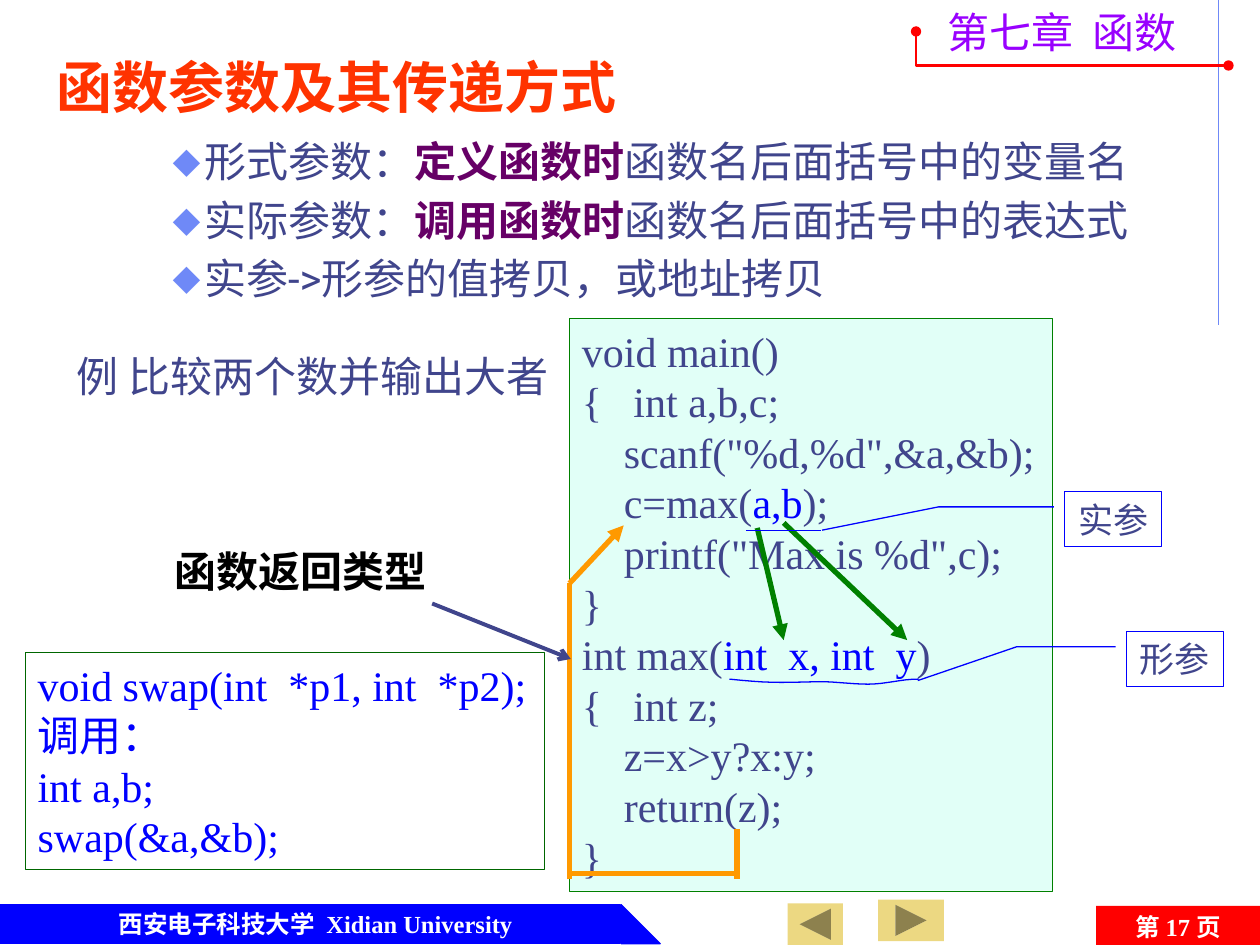
"""Build a lecture slide on function parameters and how they are passed."""
from lxml import etree
from pptx import Presentation
from pptx import util as u
from pptx.dml.color import RGBColor
from pptx.enum import shapes, text
from pptx.oxml.ns import qn

HUE = {
    "ink": "40458C", "blue": "0000FF", "white": "FFFFFF", "black": "000000",
    "red": "FF0000", "title": "FF3300", "chapter": "9900FF", "key": "660066",
    "rule": "6F89F7", "mint": "E1FFF7", "green": "008000", "moss": "006600",
    "gold": "FF9900", "sand": "ECD882",
}
SERIF, SANS, BODY = "Times New Roman", "Noto Sans CJK SC", "Roboto"
KIND = shapes.MSO_SHAPE
LEFT, MID = text.PP_ALIGN.LEFT, text.PP_ALIGN.CENTER


def rgb(name):
    """Return the named colour."""
    return RGBColor.from_string(HUE[name])


def node(parent, tag, **attrs):
    """Append a drawing element to a parent."""
    item = etree.SubElement(parent, qn(tag))
    for key, value in attrs.items():
        item.set(key, value)
    return item


def write(para, words, size=24, face=SERIF, hue="ink", bold=False):
    """Add one formatted run to a paragraph."""
    run = para.add_run()
    run.text = words
    font = run.font
    font.size, font.bold, font.name = u.Pt(size), bold, face
    font.color.rgb = rgb(hue)
    node(run._r.get_or_add_rPr(), "a:ea", typeface=SANS)


def fill_text(shape, rows, align=LEFT, wrap=False, top=False, pitch=None,
              gap=0, bullet=None, **style):
    """Put rows, each a list of (words, changes), into a shape."""
    frame = shape.text_frame
    frame.auto_size = text.MSO_AUTO_SIZE.NONE
    frame.word_wrap = wrap
    frame.vertical_anchor = (text.MSO_ANCHOR.TOP if top
                             else text.MSO_ANCHOR.MIDDLE)
    for i, row in enumerate(rows):
        para = frame.add_paragraph() if i else frame.paragraphs[0]
        para.alignment = align
        para.space_before = u.Pt(gap if i else 0)
        if pitch:
            para.line_spacing = u.Pt(pitch)
        if bullet:
            para.level = 2
            props = para._p.get_or_add_pPr()
            props.set("marL", str(u.Inches(1.25)))
            props.set("indent", str(u.Inches(-0.25)))
            node(node(props, "a:buClr"), "a:srgbClr", val=HUE["rule"])
            node(props, "a:buSzPct", val="95000")
            node(props, "a:buChar", char=bullet)
        for words, change in [(row, {})] if isinstance(row, str) else row:
            write(para, words, **{**style, **change})


class Deck:
    """Hold the style and the current slide."""

    def __init__(self):
        self.prs = Presentation()
        self.prs.slide_width, self.prs.slide_height = u.Inches(10), u.Inches(7.5)
        self.slide = self.prs.slides.add_slide(self.prs.slide_layouts[1])
        self.tree = self.slide.shapes

    def holder(self, index, area, rows, **style):
        """Move and fill a template placeholder."""
        item = self.slide.placeholders[index]
        item.left, item.top, item.width, item.height = map(u.Inches, area)
        fill_text(item, rows, **style)

    def label(self, area, words, **style):
        """Add a line of text."""
        fill_text(self.tree.add_textbox(*map(u.Inches, area)), [words], **style)

    def box(self, area, kind=KIND.RECTANGLE, fill=None, edge=None, width=0.75,
            rows=(), **style):
        """Add a preset shape with optional text."""
        item = self.tree.add_shape(kind, *map(u.Inches, area))
        item.shadow.inherit = False
        if fill:
            item.fill.solid()
            item.fill.fore_color.rgb = rgb(fill)
        else:
            item.fill.background()
        self.stroke(item, edge, width)
        fill_text(item, rows, **style)
        return item

    def stroke(self, item, hue, width, head=None, tail=None):
        """Set the outline and its ends."""
        if not hue:
            item.line.fill.background()
            return
        item.line.color.rgb = rgb(hue)
        item.line.width = u.Pt(width)
        for tag, end in (("a:headEnd", head), ("a:tailEnd", tail)):
            if end:
                node(item._element.spPr.find(qn("a:ln")), tag, type=end)

    def line(self, start, stop, hue, width, tail=None):
        """Add a straight line or arrow."""
        item = self.tree.add_connector(
            shapes.MSO_CONNECTOR.STRAIGHT, *map(u.Inches, (*start, *stop)))
        self.stroke(item, hue, width, tail=tail)
        node(item._element.spPr, "a:effectLst")

    def trace(self, points, hue, width, head=None, tail=None):
        """Add an open outline through points."""
        spots = [(u.Inches(x), u.Inches(y)) for x, y in points]
        pen = self.tree.build_freeform(*spots[0])
        pen.add_line_segments(spots[1:], close=False)
        item = pen.convert_to_shape()
        item.shadow.inherit = False
        item.fill.background()
        self.stroke(item, hue, width, head, tail)

    def callout(self, area, words, bends):
        """Add a boxed word with a bent leader."""
        item = self.box(area, KIND.LINE_CALLOUT_2, "white", "blue",
                        rows=[words], align=MID, size=20)
        for i, bend in enumerate(bends):
            item.adjustments[i] = bend


def bezier(start, *curves, steps=8):
    """Return points along joined cubic curves."""
    points = [start]
    for a, b, c in curves:
        o = points[-1]
        for i in range(1, steps + 1):
            t = i / steps
            s = 1 - t
            points.append(tuple(
                s**3 * o[k] + 3 * s * s * t * a[k] + 3 * s * t * t * b[k]
                + t**3 * c[k] for k in (0, 1)))
    return points


def main():
    """Draw the slide and save it."""
    deck = Deck()
    blue, key = {"hue": "blue"}, {"hue": "key", "bold": True}
    deck.holder(0, (0.35, 0.36, 7.17, 0.64), ["函数参数及其传递方式"],
                wrap=True, size=32, face=SANS, hue="title", bold=True)
    deck.holder(1, (0.27, 1.03, 9.35, 2.27), [
        [("形式参数：", {}), ("定义函数时", key), ("函数名后面括号中的变量名", {})],
        [("实际参数：", {}), ("调用函数时", key), ("函数名后面括号中的表达式", {})],
        "实参->形参的值拷贝，或地址拷贝",
    ], wrap=True, top=True, pitch=28.6, gap=4.8, bullet="⬥", face=BODY)

    deck.line((9.67, 0), (9.67, 2.58), "rule", 0.75)
    deck.box((0, 7.18, 4.92, 0.31), fill="blue", edge="blue")
    deck.box((4.93, 7.18, 0.31, 0.31), KIND.RIGHT_TRIANGLE, "blue", "blue")
    foot = {"align": MID, "size": 14, "hue": "white", "bold": True}
    deck.label((0.29, 7.18, 4.43, 0.31), "西安电子科技大学  Xidian University", **foot)
    deck.box((8.7, 7.19, 1.3, 0.33), fill="red", rows=["第 17 页"], **foot)
    button = KIND.ACTION_BUTTON_FORWARD_OR_NEXT
    deck.box((6.97, 7.14, 0.52, 0.33), button, "sand")
    deck.box((6.25, 7.17, 0.44, 0.33), button, "sand").rotation = 180

    deck.box((4.52, 2.53, 3.83, 4.54), fill="mint", edge="green", width=0.25, rows=[
        "void main()",
        "{   int a,b,c;",
        "    scanf(\"%d,%d\",&a,&b);",
        [("    c=max(", {}), ("a,b", blue), (");", {})],
        "    printf(\"Max is %d\",c);",
        "}",
        [("int max(", {}), ("int  x, int  y", blue), (")", {})],
        "{   int z;",
        "    z=x>y?x:y;",
        "    return(z);",
        "}",
    ], top=True, pitch=28.9)
    deck.label((7.42, 0, 2.2, 0.5), "第七章  函数", face=SANS, hue="chapter")
    deck.trace([(7.27, 0.25), (7.27, 0.52), (9.75, 0.52)], "red", 1.5, "oval", "oval")

    deck.line((6.01, 4.19), (6.22, 5.08), "green", 3, "triangle")
    deck.line((6.22, 4.15), (7.2, 5.08), "green", 3, "triangle")
    deck.line((5.85, 6.58), (5.85, 6.98), "gold", 3)
    deck.line((5.87, 6.93), (4.53, 6.93), "gold", 3)
    deck.line((4.52, 6.98), (4.52, 4.63), "gold", 3)
    deck.line((4.52, 4.63), (4.95, 4.17), "gold", 3, "triangle")

    deck.label((0.51, 2.73, 3.95, 0.5), "例 比较两个数并输出大者")
    deck.trace(bezier((5.79, 5.39),
                      ((6.08, 5.42), (6.15, 5.42), (6.5, 5.41)),
                      ((6.63, 5.41), (6.76, 5.43), (6.89, 5.43)),
                      ((7.03, 5.43), (7.15, 5.39), (7.29, 5.39))), "blue", 0.75)
    deck.callout((8.94, 5.01, 0.77, 0.44), "形参",
                 (0.28, -0.11, 0.28, -1.13, 0.89, -2.15))
    deck.callout((8.45, 3.9, 0.77, 0.44), "实参",
                 (0.28, -0.11, 0.28, -1.3, 0.7, -2.5))
    deck.line((5.92, 4.21), (6.52, 4.21), "blue", 0.75)

    deck.label((1.29, 4.28, 2.65, 0.5), "函数返回类型", wrap=True, hue="black", bold=True)
    deck.line((3.43, 4.79), (4.53, 5.23), "ink", 2.25, "arrow")
    deck.box((0.2, 5.18, 4.12, 1.72), edge="moss", rows=[
        "void swap(int  *p1, int  *p2);", "调用：", "int a,b;", "swap(&a,&b);",
    ], top=True, pitch=28.9, hue="blue")
    deck.prs.save("out.pptx")


if __name__ == "__main__":
    main()
